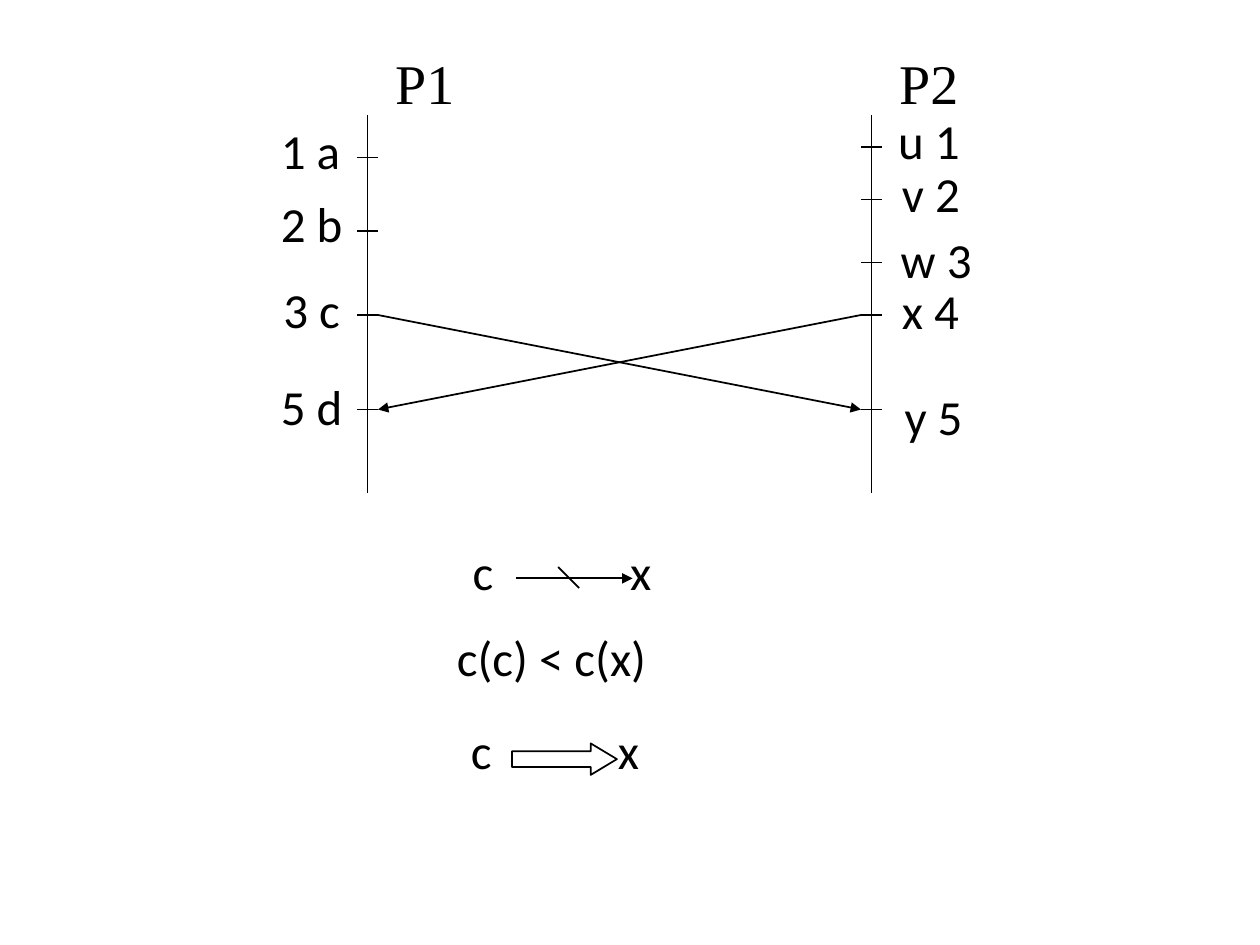
from pptx import Presentation
from pptx.dml.color import RGBColor
from pptx.enum import shapes, text
from pptx.oxml import ns, xmlchemy as xc
from pptx.util import Pt

COLORS = {"ink": "000000"}
INK = RGBColor.from_string(COLORS["ink"])
TICK = 6  # half length of a tick mark

# Label, tick height, then label left, top and width
P1_EVENTS = [
    ("1 a", 90, 153.4, 65.5, 52.6),
    ("2 b", 132, 153.4, 107.3, 54),
    ("3 c", 180, 154.8, 156.2, 51.1),
    ("5 d", 234, 153.4, 211.7, 54),
]
P2_EVENTS = [
    ("u 1", 84, 506.2, 59.8, 54.7),
    ("v 2", 114, 508.3, 90, 53.3),
    ("w 3", 150, 507.6, 127.4, 61.2),
    ("x 4", 180, 508.3, 157, 53.3),
    ("y 5", 234, 509.8, 217.4, 53.3),
]


def add_child(parent, tag, **attrs):
    child = xc.OxmlElement(tag)
    for name, value in attrs.items():
        child.set(name, str(value))
    parent.append(child)


def write(sp, content, font="Calibri", size=28, wrap=False):
    tf = sp.text_frame
    tf.word_wrap = wrap
    tf.auto_size = text.MSO_AUTO_SIZE.NONE
    p = tf.paragraphs[0]
    pPr = p._p.get_or_add_pPr()
    pPr.set("marL", "0")
    pPr.set("indent", "0")
    add_child(pPr, "a:buNone")
    p.alignment = text.PP_ALIGN.LEFT
    p.space_before = Pt(0)
    r = p.add_run()
    r.text = content
    r.font.name, r.font.size = font, Pt(size)
    r.font.color.rgb = INK


def add_label(parent, box, content, **fmt):
    sp = parent.shapes.add_textbox(*map(Pt, box))
    write(sp, content, **fmt)


def add_line(parent, x1, y1, x2, y2, arrow=False):
    line = parent.shapes.add_connector(
        shapes.MSO_CONNECTOR.STRAIGHT, Pt(x1), Pt(y1), Pt(x2), Pt(y2))
    line.line.color.rgb = INK
    line.line.width = Pt(1)
    spPr = line._element.spPr
    if arrow:
        add_child(spPr.find(ns.qn("a:ln")), "a:tailEnd", type="triangle")
    add_child(spPr, "a:effectLst")


def add_heading(sp, box, content):
    sp.left, sp.top, sp.width, sp.height = map(Pt, box)
    write(sp, content, font="Times New Roman", size=32, wrap=True)


def add_timeline(s, box, events):
    x, top, _, height = box
    add_line(s, x, top, x, top + height)
    for content, y, left, label_top, width in events:
        add_line(s, x - TICK, y, x + TICK, y)
        add_label(s, (left, label_top, width, 41), content)


def add_messages(s, box):
    left, top, width, height = box
    right, bottom = left + width, top + height
    add_line(s, left, top, right, bottom, arrow=True)
    add_line(s, right, top, left, bottom, arrow=True)


def add_event_pair(group, box):
    left, top, width, height = box
    letter_width = 30
    for content, x in (("c", left), ("x", left + width - letter_width)):
        add_label(group, (x, top, letter_width, height), content, wrap=True)


def add_not_before(s, box):
    left, top = box[:2]
    group = s.shapes.add_group_shape()
    add_line(group, left + 56, top + 18, left + 68, top + 30)
    add_event_pair(group, box)
    add_line(group, left + 32, top + 24.5, left + 98.5, top + 24.5, arrow=True)


def add_implication(s, box):
    left, top = box[:2]
    group = s.shapes.add_group_shape()
    arrow = group.shapes.add_shape(
        shapes.MSO_SHAPE.RIGHT_ARROW,
        Pt(left + 30.5), Pt(top + 16.6), Pt(60), Pt(18))
    arrow.adjustments[0], arrow.adjustments[1] = 0.5, 0.83
    arrow.shadow.inherit = False
    arrow.fill.background()
    arrow.line.color.rgb = INK
    arrow.line.width = Pt(1)
    add_event_pair(group, box)


def main():
    prs = Presentation()
    prs.slide_width, prs.slide_height = Pt(720), Pt(540)
    s = prs.slides.add_slide(prs.slide_layouts[3])
    title = s.shapes.title._element
    title.getparent().remove(title)

    # Process headings, timelines and the messages between them
    add_heading(s.placeholders[1], (218.6, 24, 60, 48), "P1")
    add_heading(s.placeholders[2], (506.6, 24, 60, 48), "P2")
    add_timeline(s, (210, 66, 0, 216), P1_EVENTS)
    add_timeline(s, (498, 66, 0, 216), P2_EVENTS)
    add_messages(s, (210 + TICK, 180, 288 - 2 * TICK, 54))

    # Relations between events c and x
    add_not_before(s, (263, 306, 120, 41))
    add_label(s, (254, 355, 140.5, 41), "c(c) < c(x)")
    add_implication(s, (262, 408.2, 114, 41))

    prs.save("out.pptx")


if __name__ == "__main__":
    main()
